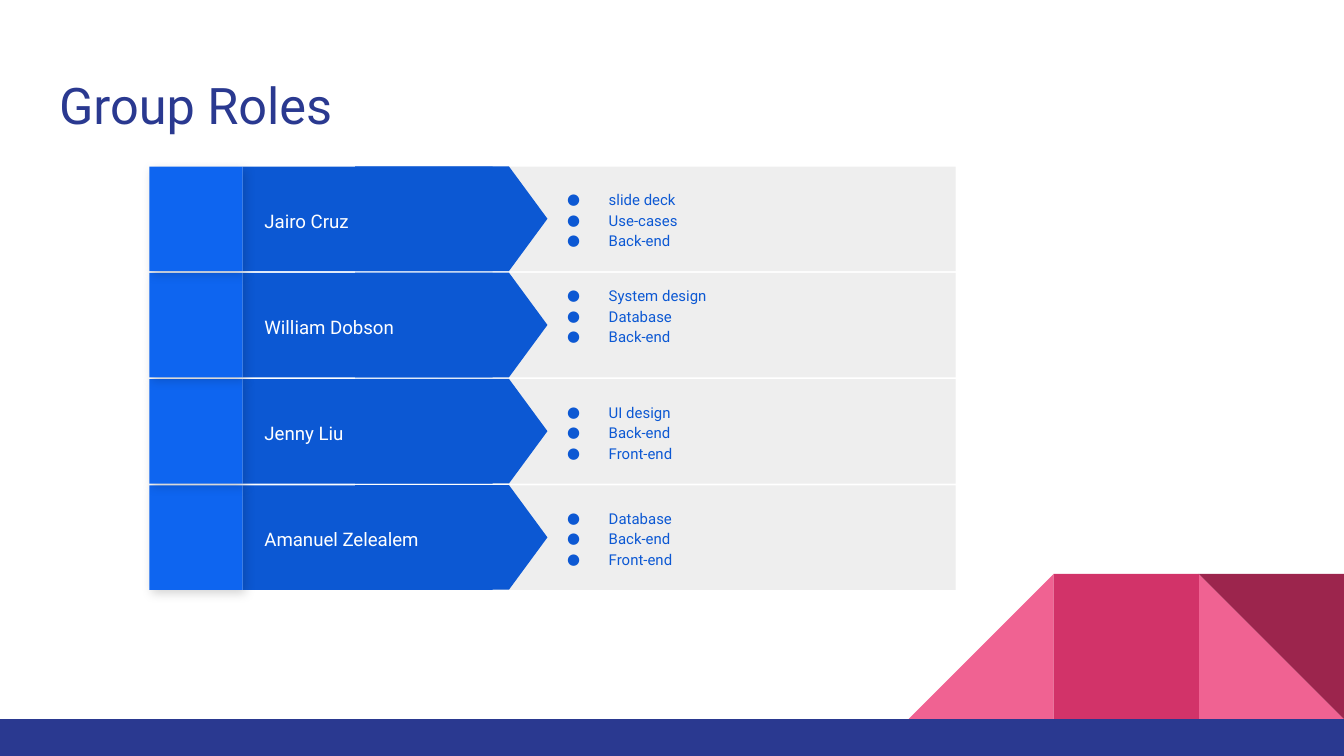
"""Build the Group Roles slide: one banner per member with a list of tasks."""
from lxml.etree import SubElement
from pptx import Presentation
from pptx.dml.color import RGBColor
from pptx.enum.shapes import MSO_SHAPE as SHAPE
from pptx.enum.text import MSO_ANCHOR as ANCHOR, MSO_AUTO_SIZE as FIT, PP_ALIGN as ALIGN
from pptx.oxml import parse_xml
from pptx.oxml.ns import nsdecls, qn
from pptx.util import Pt

COLORS = {
    "navy": "2A3990", "pink": "F06292", "rose": "D23369", "wine": "9C254D",
    "gray": "EEEEEE", "blue": "0C58D3", "bright": "0E65F0", "white": "FFFFFF",
}
ROLES = [
    ("Jairo Cruz", ["slide deck", "Use-cases", "Back-end"], 7.2),
    ("William Dobson", ["System design", "Database", "Back-end"], 18),
    ("Jenny Liu", ["UI design", "Back-end", "Front-end"], 7.2),
    ("Amanuel Zelealem", ["Database", "Back-end", "Front-end"], 7.2),
]
FRAME = {
    "word_wrap": True, "auto_size": FIT.NONE, "vertical_anchor": ANCHOR.MIDDLE,
    "margin_left": Pt(7.2), "margin_right": Pt(7.2),
    "margin_top": Pt(7.2), "margin_bottom": Pt(7.2),
}
SHADOW = f"""<a:effectLst {nsdecls("a")}>
<a:outerShdw blurRad="{Pt(5.6)}" dist="{Pt(2.2)}" dir="2700000" algn="tl" rotWithShape="0">
<a:srgbClr val="000000"><a:alpha val="17000"/></a:srgbClr></a:outerShdw></a:effectLst>"""


def add_block(shapes, kind, box, color, rotation=0):
    sp = shapes.add_shape(kind, *map(Pt, box))
    sp.shadow.inherit = False
    sp.fill.solid()
    sp.fill.fore_color.rgb = RGBColor.from_string(COLORS[color])
    sp.line.fill.background()
    sp.rotation = rotation
    return sp


def write(sp, lines, size, color, spacing=1.15, bullets=False, **frame):
    tf = sp.text_frame
    for name, value in {**FRAME, **frame}.items():
        setattr(tf, name, value)
    for i, line in enumerate(lines):
        p = tf.paragraphs[0] if i == 0 else tf.add_paragraph()
        p.alignment = ALIGN.LEFT
        p.line_spacing = spacing
        if bullets:
            pPr = p._p.get_or_add_pPr()
            pPr.set("marL", str(Pt(36)))
            pPr.set("indent", str(Pt(-22.32)))
            SubElement(SubElement(pPr, qn("a:buClr")), qn("a:srgbClr"), val=COLORS[color])
            SubElement(pPr, qn("a:buFont"), typeface="Roboto")
            SubElement(pPr, qn("a:buChar"), char="●")
        r = p.add_run()
        r.text = line
        r.font.name = "Roboto"
        r.font.size = Pt(size)
        r.font.color.rgb = RGBColor.from_string(COLORS[color])


prs = Presentation()
prs.slide_width, prs.slide_height = Pt(720), Pt(405)
s = prs.slides.add_slide(prs.slide_layouts[5])

decor = s.shapes.add_group_shape().shapes
side, base = 77.76, 385.2
top = base - side
for kind, x, color, rotation in [
    (SHAPE.RIGHT_TRIANGLE, 642.24, "pink", 0),
    (SHAPE.RIGHT_TRIANGLE, 486.72, "pink", 270),
    (SHAPE.RECTANGLE, 564.48, "rose", 0),
    (SHAPE.RIGHT_TRIANGLE, 642.24, "wine", 180),
]:
    add_block(decor, kind, (x, top, side, side), color, rotation)
add_block(decor, SHAPE.RECTANGLE, (0, base, 720, 405 - base), "navy")

title = s.shapes.title
title.left, title.top, title.width, title.height = map(Pt, (24.5, 32.4, 671, 47.5))
write(title, ["Group Roles"], 27, "navy", spacing=1, vertical_anchor=ANCHOR.TOP)

height, pitch = 56, 56.9
for i, (name, tasks, bottom) in reversed(list(enumerate(ROLES))):
    y = 89.3 + i * pitch
    row = s.shapes.add_group_shape().shapes
    add_block(row, SHAPE.RECTANGLE, (234.7, y, 277.2, height), "gray")
    add_block(row, SHAPE.RECTANGLE, (130, y, 134, height), "blue")
    add_block(row, SHAPE.FLOWCHART_OFFPAGE_CONNECTOR,
              (213.8, y - 23.6, 56 - 9.4 + 9.4, 103), "blue", 270)
    label = row.add_textbox(*map(Pt, (134.6, y + 6.5, 140.4, 43.2)))
    write(label, [name], 10, "white")
    tab = add_block(row, SHAPE.RECTANGLE, (80, y, 50, height), "bright")
    tab._element.spPr.remove(tab._element.spPr.find(qn("a:effectLst")))
    tab._element.spPr.append(parse_xml(SHADOW))
    duties = row.add_textbox(*map(Pt, (283, y, 215.3, height)))
    write(duties, tasks, 8, "blue", bullets=True, margin_bottom=Pt(bottom))

prs.save("out.pptx")
